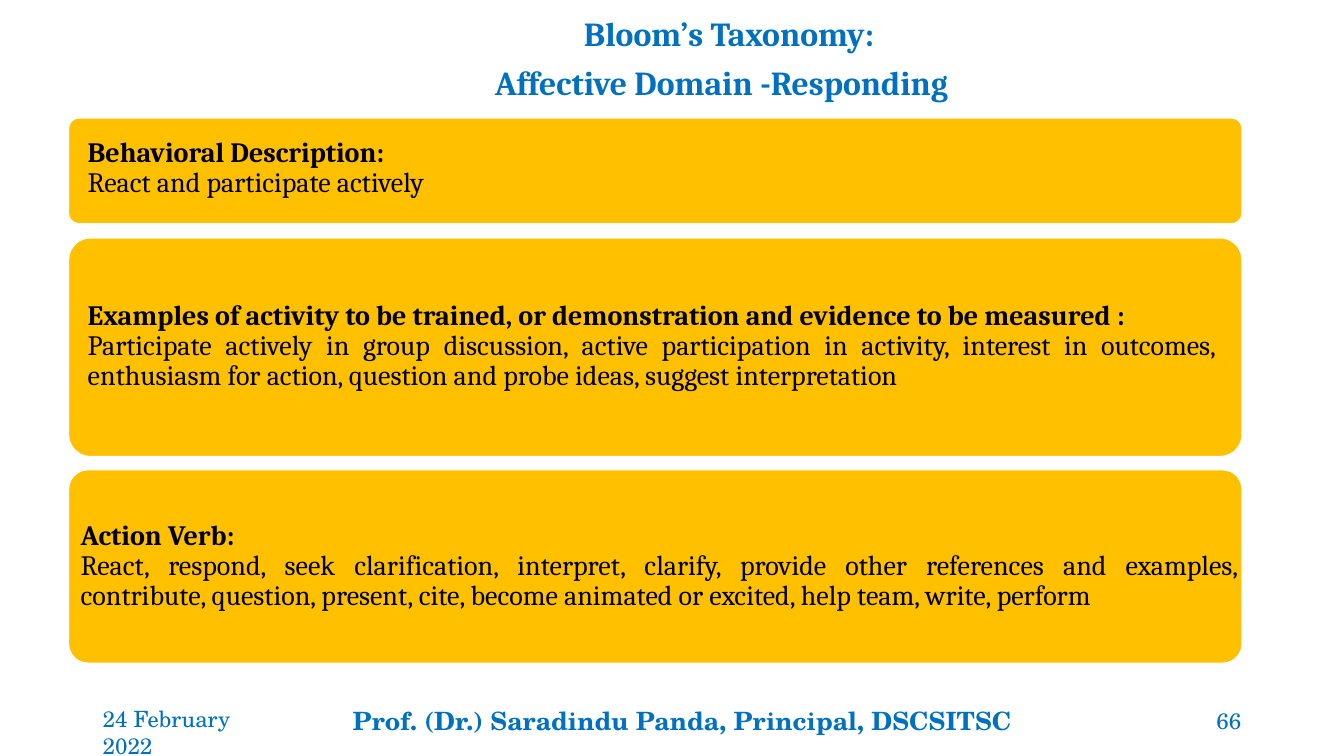
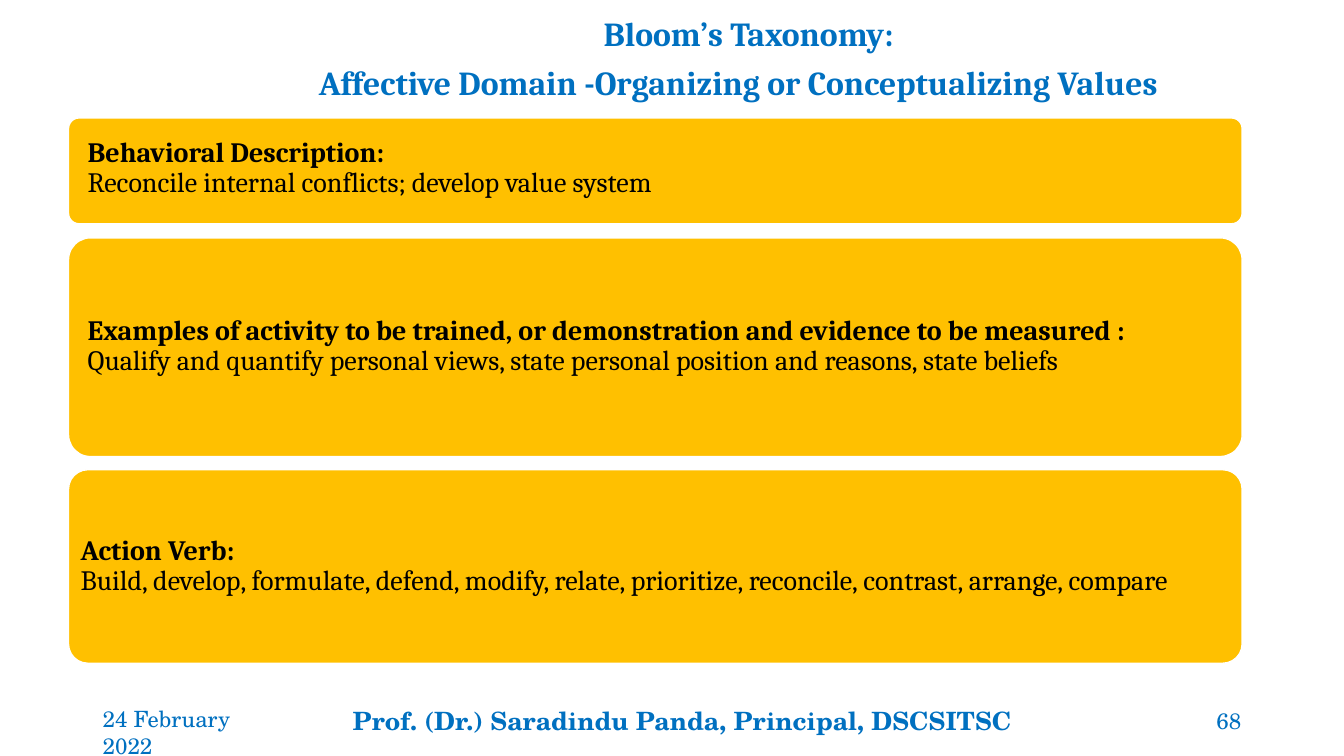
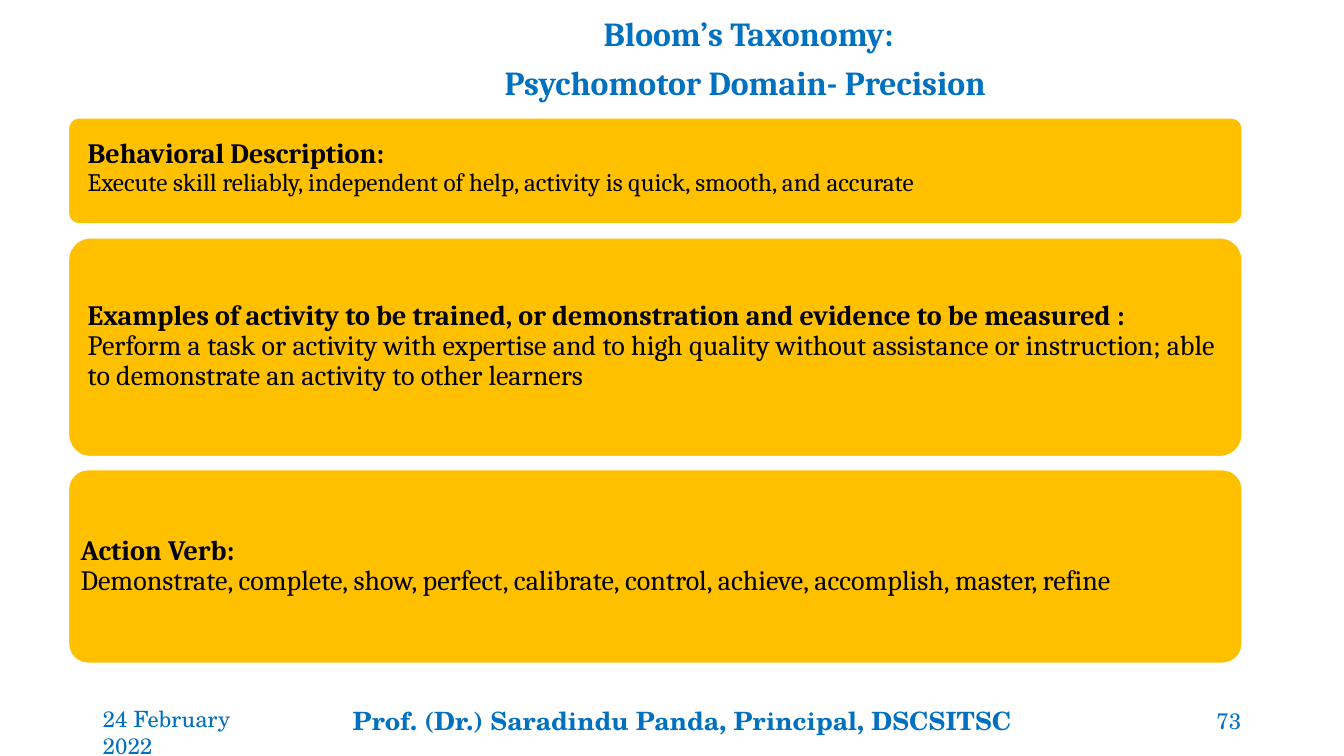
import pptx
import pptx.util
import pptx.dml.color
import pptx.enum.shapes
import pptx.enum.text
from dataclasses import dataclass

Inches = pptx.util.Inches
Pt = pptx.util.Pt
ALIGN = pptx.enum.text.PP_ALIGN
ANCHOR = pptx.enum.text.MSO_ANCHOR


@dataclass(frozen=True)
class Theme:
    blue: str = "0070C0"
    gold: str = "FFC000"
    white: str = "FFFFFF"
    black: str = "000000"
    serif: str = "Cambria"
    school: str = "TeX Gyre Schola"
    title: int = 24
    body: int = 20
    small: int = 18
    foot: int = 16


theme = Theme()


def color(code):
    return pptx.dml.color.RGBColor.from_string(code)


def write(para, text, size, font, code, bold=False, align=ALIGN.LEFT):
    para.alignment = align
    run = para.add_run()
    run.text = text
    run.font.size = Pt(size)
    run.font.name = font
    run.font.bold = bold
    run.font.color.rgb = color(code)


# Cards: heading, top and height, then the text box on top
cards = [
    ("Behavioral Description: ", 1.17, 1.05, (0.79, 1.17, 11.44, 1)),
    ("Examples of activity to be trained, or demonstration and evidence to be measured :",
     2.36, 2.17, (0.79, 2.45, 11.35, 1.97)),
    ("Action Verb:", 4.66, 1.92, (0.72, 4.66, 11.64, 1.92)),
]

# Slides: title line, title left and width, right indent of that line,
# page number, size of the first text, card texts
pages = [
    ("Affective Domain -Responding", 2.32, 9.82, 0.15, "66", theme.body, [
        "React and participate actively",
        "Participate actively in group discussion, active participation in activity, "
        "interest in outcomes, enthusiasm for action, question and probe ideas, "
        "suggest interpretation",
        "React, respond, seek clarification, interpret, clarify, provide other "
        "references and examples, contribute, question, present, cite, become "
        "animated or excited, help team, write, perform",
    ]),
    ("Affective Domain -Organizing or Conceptualizing Values", 2.5, 9.85, 0.21, "68", theme.body, [
        "Reconcile internal conflicts; develop value system",
        "Qualify and quantify personal views, state personal position and reasons, "
        "state beliefs",
        "Build, develop, formulate, defend, modify, relate, prioritize, reconcile, "
        "contrast, arrange, compare",
    ]),
    ("Psychomotor Domain- Precision", 2.5, 9.85, 0.07, "73", theme.small, [
        "Execute skill reliably, independent of help, activity is quick, smooth, "
        "and accurate",
        "Perform a task or activity with expertise and to high quality without "
        "assistance or instruction; able to demonstrate an activity to other learners",
        "Demonstrate, complete, show, perfect, calibrate, control, achieve, "
        "accomplish, master, refine",
    ]),
]

deck = pptx.Presentation()
deck.slide_width = Inches(13.33)
deck.slide_height = Inches(7.5)

for topic, left, width, indent, number, first, texts in pages:
    slide = deck.slides.add_slide(deck.slide_layouts[5])

    # Title
    title = slide.shapes.title
    title.left, title.top = Inches(left), Inches(0.18)
    title.width, title.height = Inches(width), Inches(0.89)
    frame = title.text_frame
    frame.auto_size = pptx.enum.text.MSO_AUTO_SIZE.NONE
    frame.vertical_anchor = ANCHOR.BOTTOM
    head, sub = frame.paragraphs[0], frame.add_paragraph()
    for para, text in ((head, "Bloom’s Taxonomy:"), (sub, topic)):
        write(para, text, theme.title, theme.serif, theme.blue, True, ALIGN.CENTER)
        para.line_spacing = 0.9
        para.space_after = Pt(3)
    sub.space_before = Pt(6)
    sub._p.get_or_add_pPr().set("marR", str(Inches(indent)))

    # Cards
    sizes = (first, theme.body, theme.body)
    for (label, top, height, area), text, size in zip(cards, texts, sizes):
        group = slide.shapes.add_group_shape()
        card = group.shapes.add_shape(
            pptx.enum.shapes.MSO_SHAPE.ROUNDED_RECTANGLE,
            Inches(0.68), Inches(top), Inches(11.64), Inches(height))
        card.adjustments[0] = 0.1
        card.shadow.inherit = False
        card.fill.solid()
        card.fill.fore_color.rgb = color(theme.gold)
        card.line.color.rgb = color(theme.white)
        card.line.width = Pt(1)

        frame = group.shapes.add_textbox(*map(Inches, area)).text_frame
        frame.word_wrap = True
        frame.vertical_anchor = ANCHOR.MIDDLE
        frame.margin_left = frame.margin_right = Inches(0.08)
        frame.margin_top = frame.margin_bottom = Inches(0.08)
        head, body = frame.paragraphs[0], frame.add_paragraph()
        write(head, label, theme.body, theme.serif, theme.black, True, ALIGN.JUSTIFY)
        write(body, text, size, theme.serif, theme.black, False, ALIGN.JUSTIFY)
        head.line_spacing = body.line_spacing = 0.9

    # Footer
    for text, left, width, size, bold, align, anchor in (
        ("24 February 2022", 0.92, 1.99, theme.foot, False, ALIGN.LEFT, ANCHOR.TOP),
        ("Prof. (Dr.) Saradindu Panda, Principal, DSCSITSC",
         3.4, 6.81, theme.small, True, ALIGN.LEFT, ANCHOR.TOP),
        (number, 10.96, 1.45, theme.foot, False, ALIGN.RIGHT, ANCHOR.MIDDLE),
    ):
        frame = slide.shapes.add_textbox(
            Inches(left), Inches(6.95), Inches(width), Inches(0.4)).text_frame
        frame.word_wrap = True
        frame.vertical_anchor = anchor
        write(frame.paragraphs[0], text, size, theme.school, theme.blue, bold, align)

deck.save("out.pptx")
